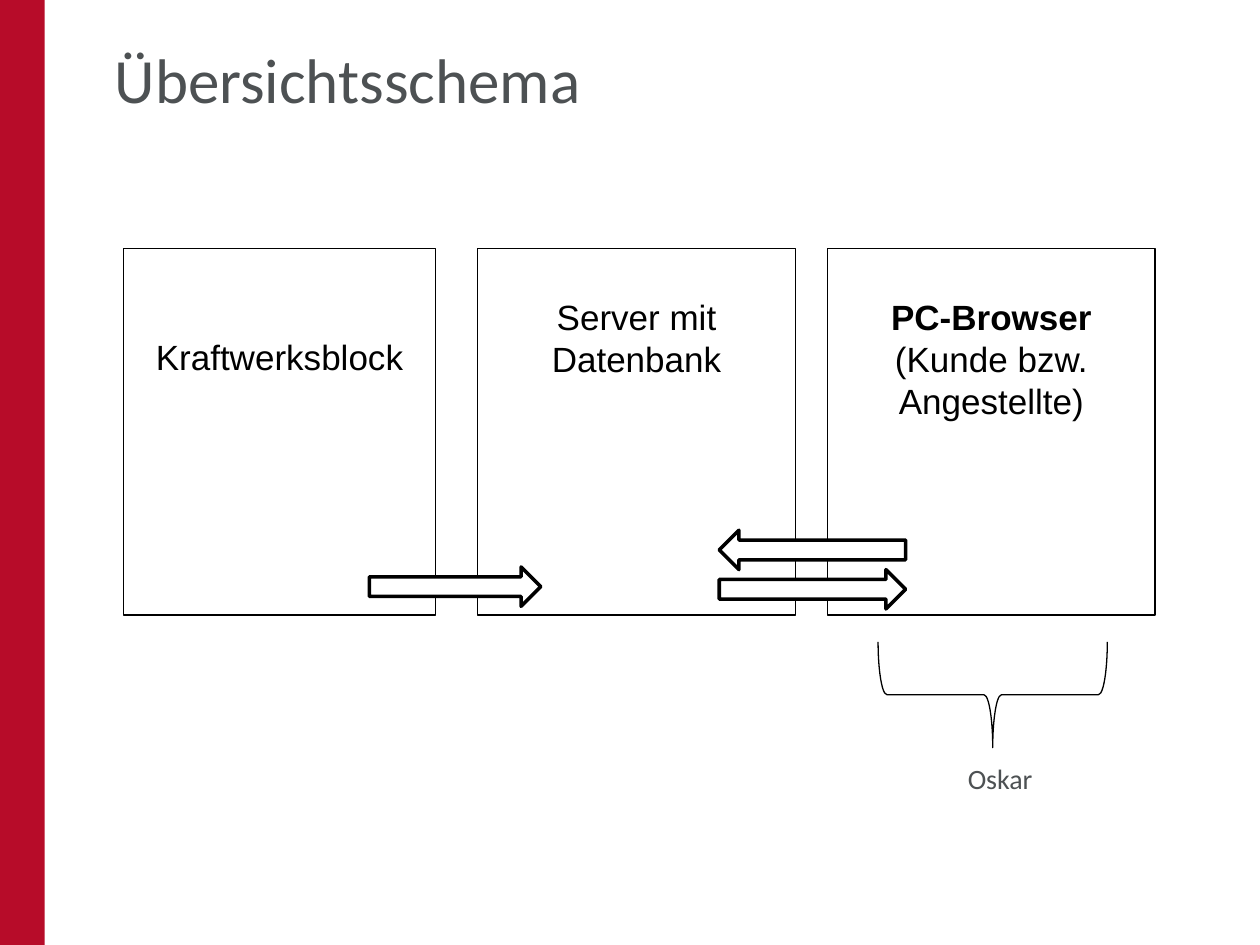
"""Build the overview slide: three systems, their data flows and the part called Oskar."""
import pptx
import pptx.dml.color
import pptx.enum.shapes
import pptx.enum.text
import pptx.util

Pt = pptx.util.Pt
Shapes = pptx.enum.shapes.MSO_SHAPE
Anchor = pptx.enum.text.MSO_ANCHOR
Align = pptx.enum.text.PP_ALIGN

TITLE = "Übersichtsschema"
BRACE_LABEL = "Oskar"
SYSTEMS = [
    {"left": 70.5, "width": 178.5, "blank_lines": 2, "fill": None,
     "lines": [("Kraftwerksblock", False)]},
    {"left": 273, "width": 181.5, "blank_lines": 1, "fill": "white",
     "lines": [("Server mit", False), ("Datenbank", False)]},
    {"left": 473, "width": 187, "blank_lines": 1, "fill": "white",
     "lines": [("PC-Browser", True), ("(Kunde bzw. Angestellte)", False)]},
]
FLOWS = [(211, 324, 98, 0), (411, 325.5, 106.5, 0), (411, 303, 106.5, 180)]
BOX_TOP, BOX_HEIGHT, ARROW_HEIGHT = 142, 209.5, 22.5
LINE_HEIGHT, TOP_INSET = 23, 3.6

THEME = {
    "red": "B70C29", "white": "FFFFFF", "black": "000000", "gray": "4D5153",
    "thin": 0.75, "thick": 2,
    "title": {"name": "Calibri", "size": Pt(36), "bold": False},
    "label": {"name": "Calibri", "size": Pt(16), "bold": False},
    "box": {"name": "Arial", "size": Pt(20)},
}


def color(name):
    return pptx.dml.color.RGBColor.from_string(THEME[name])


def apply(target, values):
    for name, value in values.items():
        setattr(target, name, value)


def write(paragraph, text, style, color_name, **extra):
    run = paragraph.add_run()
    run.text = text
    apply(run.font, {**THEME[style], **extra})
    run.font.color.rgb = color(color_name)


def add_shape(slide, kind, bounds, fill=None, line=None, rotation=0):
    shape = slide.shapes.add_shape(kind, *map(Pt, bounds))
    apply(shape, {"rotation": rotation})
    shape.shadow.inherit = False
    if fill:
        shape.fill.solid()
        shape.fill.fore_color.rgb = color(fill)
    else:
        shape.fill.background()
    if line:
        shape.line.color.rgb = color("black")
        shape.line.width = Pt(THEME[line])
    else:
        shape.line.fill.background()
    return shape


def add_title(slide):
    title = slide.shapes.title
    apply(title, {"left": Pt(65.5), "top": Pt(16.5), "width": Pt(601), "height": Pt(56)})
    apply(title.text_frame, {"margin_left": 0, "margin_right": 0,
                             "vertical_anchor": Anchor.MIDDLE})
    paragraph = title.text_frame.paragraphs[0]
    paragraph.alignment = Align.LEFT
    write(paragraph, TITLE, "title", "gray")


def add_system(slide, system):
    bounds = (system["left"], BOX_TOP, system["width"], BOX_HEIGHT)
    shape = add_shape(slide, Shapes.RECTANGLE, bounds, system["fill"], "thin")
    frame = shape.text_frame
    apply(frame, {"word_wrap": True, "vertical_anchor": Anchor.TOP,
                  "margin_top": Pt(TOP_INSET + LINE_HEIGHT * system["blank_lines"])})
    for index, (text, bold) in enumerate(system["lines"]):
        paragraph = frame.add_paragraph() if index else frame.paragraphs[0]
        paragraph.alignment = Align.CENTER
        write(paragraph, text, "box", "black", bold=bold)


def add_brace_label(slide):
    frame = slide.shapes.add_textbox(Pt(553), Pt(427.5), Pt(57), Pt(27.5)).text_frame
    apply(frame, {"word_wrap": True, "margin_left": 0, "margin_right": 0,
                  "margin_top": 0, "margin_bottom": 0,
                  "auto_size": pptx.enum.text.MSO_AUTO_SIZE.SHAPE_TO_FIT_TEXT})
    paragraph = frame.paragraphs[0]
    apply(paragraph, {"line_spacing": 1.4, "alignment": Align.LEFT})
    write(paragraph, BRACE_LABEL, "label", "gray")


def main():
    presentation = pptx.Presentation()
    apply(presentation, {"slide_width": Pt(720), "slide_height": Pt(540)})
    slide = presentation.slides.add_slide(presentation.slide_layouts[5])
    add_shape(slide, Shapes.RECTANGLE, (0, 0, 25.5, 540), "red")
    add_title(slide)
    for system in SYSTEMS:
        add_system(slide, system)
    for left, top, width, rotation in FLOWS:
        add_shape(slide, Shapes.RIGHT_ARROW, (left, top, width, ARROW_HEIGHT),
                  "white", "thick", rotation)
    add_shape(slide, Shapes.RIGHT_BRACE, (537, 331.5, 60.5, 131), None, "thin", 90)
    add_brace_label(slide)
    presentation.save("out.pptx")


if __name__ == "__main__":
    main()
